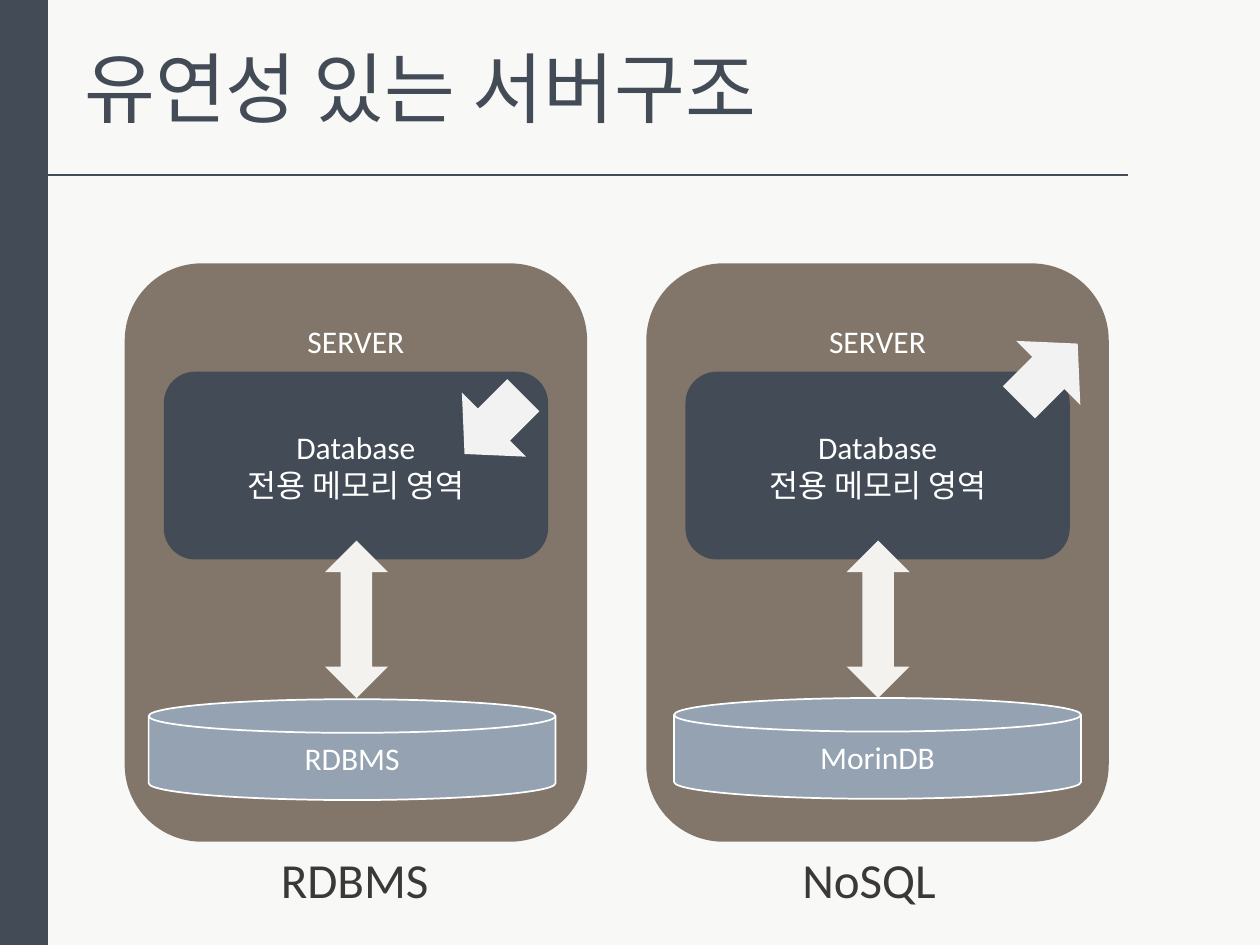
from dataclasses import dataclass

from lxml import etree
from pptx import Presentation
from pptx.dml.color import RGBColor
from pptx.enum import shapes, text
from pptx.oxml import ns
from pptx.util import Inches, Pt

HUE = {
    "page": "F8F8F6",
    "slate": "434B56",
    "brown": "817669",
    "steel": "95A2B1",
    "ivory": "F3F2EF",
    "pale": "F2F2F2",
    "white": "FFFFFF",
    "ink": "3A3838",
}
FONT = "Calibri"
KIND = shapes.MSO_SHAPE
ALIGN = text.PP_ALIGN
ANCHOR = text.MSO_ANCHOR


@dataclass
class Box:
    x: float
    y: float
    w: float
    h: float

    def emu(self) -> list:
        return [Inches(n) for n in (self.x, self.y, self.w, self.h)]


@dataclass
class Panel:
    left: float
    store: str
    name: str
    width: float
    disk: Box
    arrow: Box
    turn: int


PANELS = [
    Panel(0.99, "RDBMS", "RDBMS", 1.39,
          Box(1.18, 5.55, 3.23, 0.8), Box(3.56, 3.04, 0.72, 0.66), 45),
    Panel(5.13, "MorinDB", "NoSQL", 1.27,
          Box(5.35, 5.54, 3.23, 0.8), Box(7.96, 2.63, 0.72, 0.66), 225),
]


def color(key: str) -> RGBColor:
    return RGBColor.from_string(HUE[key])


def write(shape, words: str, *, size=18, hue="white", align=ALIGN.CENTER,
          anchor=ANCHOR.MIDDLE, top=0.05, wrap=True) -> None:
    frame = shape.text_frame
    frame.word_wrap = wrap
    frame.vertical_anchor = anchor
    frame.margin_top = Inches(top)
    frame.text = words
    for para in frame.paragraphs:
        para.alignment = align
        for run in para.runs:
            run.font.name = FONT
            run.font.size = Pt(size)
            run.font.color.rgb = color(hue)


def draw(slide, kind: KIND, box: Box, fill: str, edge: str = "", turn: int = 0):
    shape = slide.shapes.add_shape(kind, *box.emu())
    shape.shadow.inherit = False
    shape.fill.solid()
    shape.fill.fore_color.rgb = color(fill)
    if edge:
        shape.line.color.rgb = color(edge)
        shape.line.width = Pt(1)
    else:
        shape.line.fill.background()
    shape.rotation = turn
    return shape


def label(slide, box: Box, words: str, size: int, hue: str) -> None:
    write(slide.shapes.add_textbox(*box.emu()), words, size=size, hue=hue,
          align=ALIGN.LEFT, anchor=ANCHOR.TOP, wrap=False)


def rule(slide, left: float, right: float, y: float) -> None:
    line = slide.shapes.add_connector(
        shapes.MSO_CONNECTOR.STRAIGHT,
        Inches(left), Inches(y), Inches(right), Inches(y))
    line.line.color.rgb = color("slate")
    line.line.width = Pt(0.75)
    etree.SubElement(line._element.spPr, ns.qn("a:effectLst"))


def build(slide, panel: Panel) -> None:
    """Draw one server with its memory, disk, arrows and caption."""
    left = panel.left
    server = draw(slide, KIND.ROUNDED_RECTANGLE, Box(left, 2.09, 3.67, 4.59), "brown")
    write(server, "SERVER", anchor=ANCHOR.TOP, top=0.29)
    memory = draw(slide, KIND.ROUNDED_RECTANGLE,
                  Box(left + 0.31, 2.95, 3.05, 1.49), "slate")
    write(memory, "Database\n전용 메모리 영역")
    label(slide, Box(left + 1.14, 6.69, panel.width, 0.57), panel.name, 28, "ink")
    draw(slide, KIND.UP_DOWN_ARROW, Box(left + 1.59, 4.29, 0.5, 1.25), "ivory")
    draw(slide, KIND.DOWN_ARROW, panel.arrow, "pale", turn=panel.turn)
    disk = draw(slide, KIND.FLOWCHART_MAGNETIC_DISK, panel.disk, "steel", "white")
    write(disk, panel.store)


def main() -> None:
    deck = Presentation()
    deck.slide_width, deck.slide_height = Inches(10), Inches(7.5)
    slide = deck.slides.add_slide(deck.slide_layouts[6])
    slide.background.fill.solid()
    slide.background.fill.fore_color.rgb = color("page")

    draw(slide, KIND.RECTANGLE, Box(0, 0, 0.38, 7.5), "slate")
    rule(slide, 0.38, 8.95, 1.39)
    label(slide, Box(0.57, 0.27, 6.04, 0.84), "유연성 있는 서버구조", 44, "slate")
    for panel in PANELS:
        build(slide, panel)
    deck.save("out.pptx")


if __name__ == "__main__":
    main()
